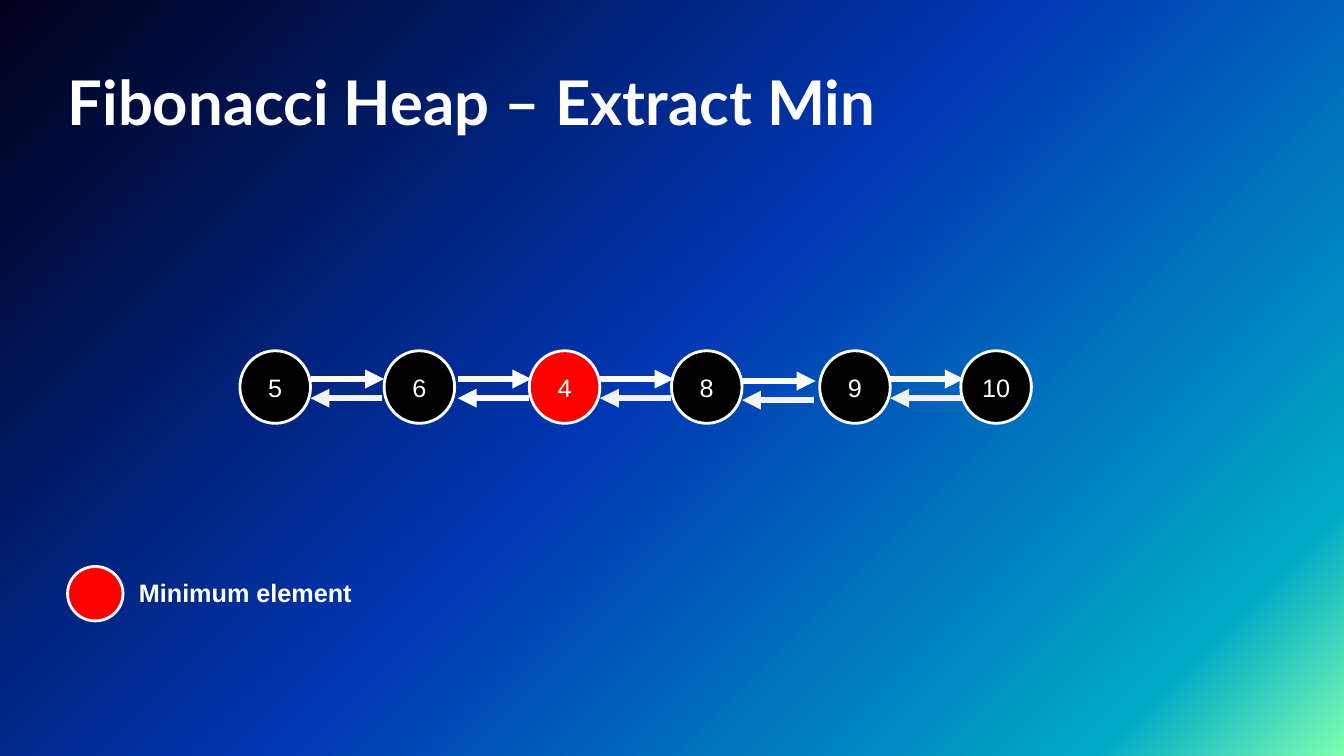
"""Build the Fibonacci heap slide: a doubly linked root list with its minimum marked."""
from dataclasses import dataclass

import lxml.etree
import pptx
import pptx.dml.color
import pptx.enum.shapes
import pptx.enum.text
import pptx.oxml.ns
import pptx.shapes.autoshape
import pptx.slide
import pptx.text.text
import pptx.util

PX = 9144
WHITE, BLACK, RED, GREY = "FFFFFF", "000000", "FF0000", "F2F2F2"
BACKGROUND_STOPS = ((0, "7DFFB1"), (12, "00AAC6"), (51, "0037B3"), (100, "00001A"))
NODE_TOP, NODE_W, NODE_H = 348, 70, 72
NEXT_Y, PREV_Y = 376, 395
NEXT_LENGTH, PREV_LENGTH = 73, 71


@dataclass
class Node:
    label: str
    left: int
    fill: str = BLACK
    link_dx: int = 0
    link_dy: int = 0
    prev_color: str = GREY


NODES = [
    Node("5", 238),
    Node("6", 381, link_dx=3, prev_color=WHITE),
    Node("4", 525, fill=RED),
    Node("8", 666, link_dy=2),
    Node("9", 813),
    Node("10", 953),
]


def px(n: int) -> pptx.util.Emu:
    return pptx.util.Emu(n * PX)


def rgb(color: str) -> pptx.dml.color.RGBColor:
    return pptx.dml.color.RGBColor.from_string(color)


def format_text(tf: pptx.text.text.TextFrame, size: int, font: str, bold: bool = False) -> None:
    for p in tf.paragraphs:
        for r in p.runs:
            r.font.size = pptx.util.Pt(size)
            r.font.name = font
            r.font.bold = bold
            r.font.color.rgb = rgb(WHITE)


def paint_background(s: pptx.slide.Slide) -> None:
    fill = s.background.fill
    fill.gradient()
    fill.gradient_angle = 135
    qn = pptx.oxml.ns.qn
    stops = s.element.find(".//" + qn("a:gsLst"))
    for old in list(stops):
        stops.remove(old)
    for percent, color in BACKGROUND_STOPS:
        stop = lxml.etree.SubElement(stops, qn("a:gs"), pos=str(percent * 1000))
        lxml.etree.SubElement(stop, qn("a:srgbClr"), val=color)


def add_title(s: pptx.slide.Slide, text: str) -> None:
    sp = s.shapes.title
    sp.left, sp.top, sp.width, sp.height = px(67), px(63), px(879), px(125)
    tf = sp.text_frame
    tf.text = text
    tf.margin_left = tf.margin_right = tf.margin_top = tf.margin_bottom = 0
    tf.vertical_anchor = pptx.enum.text.MSO_ANCHOR.TOP
    tf.auto_size = pptx.enum.text.MSO_AUTO_SIZE.NONE
    tf.word_wrap = True
    tf.paragraphs[0].alignment = pptx.enum.text.PP_ALIGN.LEFT
    format_text(tf, 44, "Lato", bold=True)


def add_circle(s: pptx.slide.Slide, left: int, top: int, width: int, height: int,
               fill: str) -> pptx.shapes.autoshape.Shape:
    sp = s.shapes.add_shape(pptx.enum.shapes.MSO_SHAPE.OVAL,
                            px(left), px(top), px(width), px(height))
    sp.shadow.inherit = False
    sp.fill.solid()
    sp.fill.fore_color.rgb = rgb(fill)
    sp.line.color.rgb = rgb(WHITE)
    sp.line.width = pptx.util.Pt(2)
    return sp


def add_node(s: pptx.slide.Slide, node: Node) -> None:
    tf = add_circle(s, node.left, NODE_TOP, NODE_W, NODE_H, node.fill).text_frame
    tf.text = node.label
    tf.vertical_anchor = pptx.enum.text.MSO_ANCHOR.MIDDLE
    tf.paragraphs[0].alignment = pptx.enum.text.PP_ALIGN.CENTER
    format_text(tf, 18, "Arial")


def add_arrow(s: pptx.slide.Slide, start: int, end: int, y: int, color: str) -> None:
    cxn = s.shapes.add_connector(pptx.enum.shapes.MSO_CONNECTOR.STRAIGHT,
                                 px(start), px(y), px(end), px(y))
    cxn.line.color.rgb = rgb(color)
    cxn.line.width = pptx.util.Pt(4.5)
    qn = pptx.oxml.ns.qn
    lxml.etree.SubElement(cxn.line.fill._xPr, qn("a:tailEnd"), type="triangle")
    lxml.etree.SubElement(cxn.element.spPr, qn("a:effectLst"))


def add_links(s: pptx.slide.Slide, node: Node) -> None:
    x = node.left + NODE_W + node.link_dx
    add_arrow(s, x, x + NEXT_LENGTH, NEXT_Y + node.link_dy, WHITE)
    add_arrow(s, x + PREV_LENGTH, x, PREV_Y + node.link_dy, node.prev_color)


def add_legend(s: pptx.slide.Slide, text: str) -> None:
    add_circle(s, 67, 562, 55, 54, RED)
    tf = s.shapes.add_textbox(px(128), px(568), px(233), px(40)).text_frame
    tf.text = text
    tf.word_wrap = False
    tf.auto_size = pptx.enum.text.MSO_AUTO_SIZE.SHAPE_TO_FIT_TEXT
    format_text(tf, 18, "Arial", bold=True)


def main() -> None:
    prs = pptx.Presentation()
    prs.slide_width, prs.slide_height = px(1333), px(750)
    s = prs.slides.add_slide(prs.slide_layouts.get_by_name("Title Only"))
    paint_background(s)
    add_title(s, "Fibonacci Heap – Extract Min")
    for node in NODES:
        add_node(s, node)
    for node in NODES[:-1]:
        add_links(s, node)
    add_legend(s, "Minimum element")
    prs.save("out.pptx")


if __name__ == "__main__":
    main()
